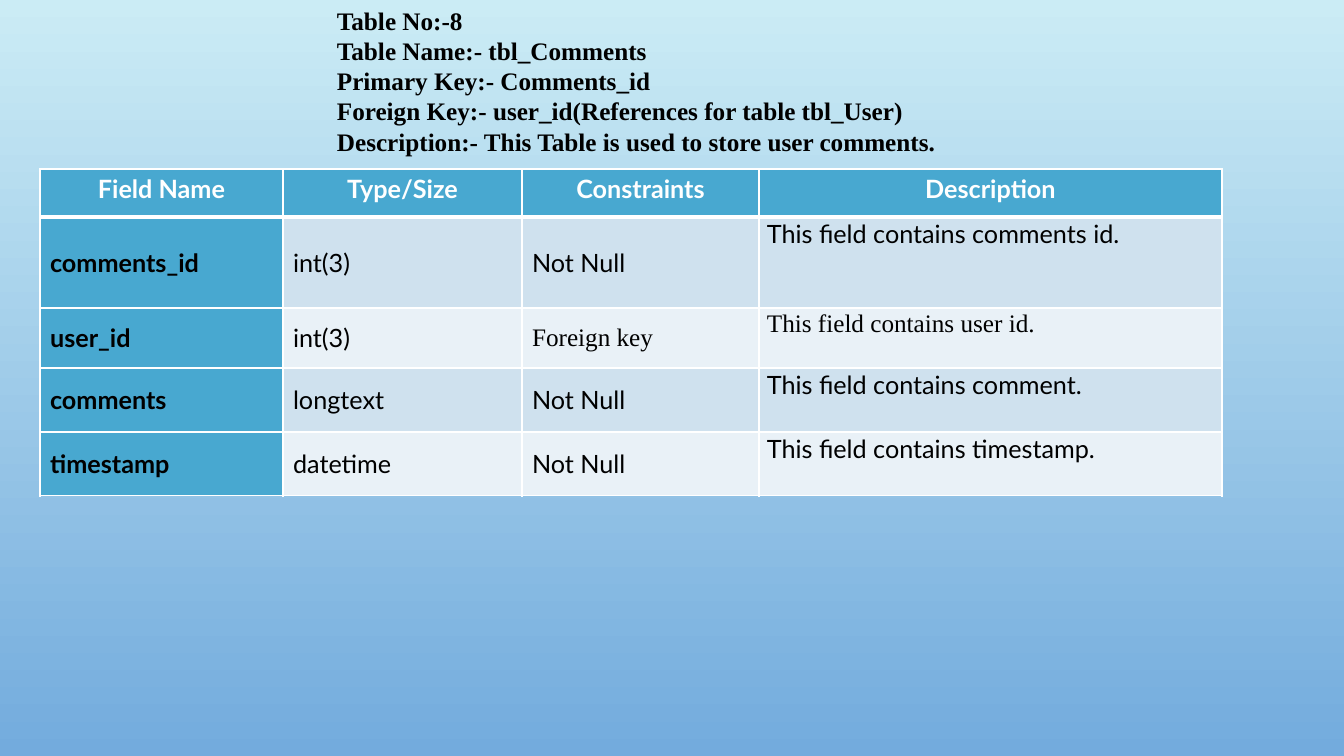
from lxml import etree
from pptx import Presentation
from pptx.dml.color import RGBColor
from pptx.enum.text import MSO_ANCHOR, MSO_AUTO_SIZE, PP_ALIGN
from pptx.oxml.ns import qn
from pptx.util import Pt

EMU_PER_PX = 914400 / 100.8
SKY_TOP = RGBColor(0xCB, 0xEC, 0xF5)
SKY_BOTTOM = RGBColor(0x73, 0xAB, 0xDD)
HEADER_BLUE = RGBColor(0x48, 0xA8, 0xD0)
BANDS = (RGBColor(0xCF, 0xE1, 0xEE), RGBColor(0xE9, 0xF1, 0xF7))
WHITE = RGBColor(0xFF, 0xFF, 0xFF)
BLACK = RGBColor(0, 0, 0)
SANS, SERIF = "Lato", "Times New Roman"
TEXT_SIZE = 18


def px(length):
    return round(length * EMU_PER_PX)


class SlideBuilder:
    def __init__(self, slide):
        self.slide = slide

    def background(self, top, bottom):
        fill = self.slide.background.fill
        fill.gradient()
        fill.gradient_angle = 270
        for stop, color, position in zip(fill.gradient_stops, (top, bottom), (0, 1)):
            stop.color.rgb, stop.position = color, position

    def styled_run(self, paragraph, text, font=SANS, color=BLACK, bold=False):
        run = paragraph.add_run()
        run.text = text
        run.font.name, run.font.size = font, Pt(TEXT_SIZE)
        run.font.bold, run.font.color.rgb = bold, color

    def text_box(self, left, top, width, height, lines):
        box = self.slide.shapes.add_textbox(px(left), px(top), px(width), px(height))
        frame = box.text_frame
        frame.word_wrap = True
        frame.auto_size = MSO_AUTO_SIZE.SHAPE_TO_FIT_TEXT
        for i, line in enumerate(lines):
            paragraph = frame.add_paragraph() if i else frame.paragraphs[0]
            self.styled_run(paragraph, line, SERIF, bold=True)

    def borders(self, cell, **widths):
        """Draw white edges; widths are points for L, R, T and B."""
        properties = cell._tc.get_or_add_tcPr()
        for i, side in enumerate("LRTB"):
            line = etree.Element(qn(f"a:ln{side}"), w=str(Pt(widths.get(side, 1))))
            solid = etree.SubElement(line, qn("a:solidFill"))
            etree.SubElement(solid, qn("a:srgbClr"), val=str(WHITE))
            properties.insert(i, line)

    def cell(self, cell, text, row, column, last_column):
        header = row == 0
        first = column == 0
        paragraph = cell.text_frame.paragraphs[0]
        self.styled_run(paragraph, text, SERIF if (row, text) in SERIF_CELLS else SANS,
                        WHITE if header else BLACK, header or first)
        if header or column == last_column:
            cell.margin_left = cell.margin_right = px(8)
            cell.margin_top = cell.margin_bottom = 0
            paragraph.line_spacing = 1.15 if header else 1.07
            paragraph.space_after = Pt(8)
            paragraph.alignment = PP_ALIGN.CENTER if header else PP_ALIGN.LEFT
        else:
            cell.vertical_anchor = MSO_ANCHOR.MIDDLE
        cell.fill.solid()
        cell.fill.fore_color.rgb = HEADER_BLUE if header or first else BANDS[(row - 1) % 2]
        self.borders(cell, T=3 if row == 1 else 1, B=3 if header else 1)

    def table(self, left, top, widths, heights, rows):
        table = self.slide.shapes.add_table(
            len(rows), len(widths), px(left), px(top), px(sum(widths)), px(sum(heights))).table
        for column, width in zip(table.columns, widths):
            column.width = px(width)
        for r, (height, texts) in enumerate(zip(heights, rows)):
            table.rows[r].height = px(height)
            for c, text in enumerate(texts):
                self.cell(table.cell(r, c), text, r, c, len(widths) - 1)


# Content
SUMMARY = [
    "Table No:-8",
    "Table Name:- tbl_Comments",
    "Primary Key:- Comments_id",
    "Foreign Key:- user_id(References for table tbl_User)",
    "Description:- This Table is used to store user comments.",
]
FIELDS = [
    ("Field Name", "Type/Size", "Constraints", "Description"),
    ("comments_id", "int(3)", "Not Null", "This field contains comments id."),
    ("user_id", "int(3)", "Foreign key", "This field contains user id."),
    ("comments", "longtext", "Not Null", "This field contains comment."),
    ("timestamp", "datetime", "Not Null", "This field contains timestamp."),
]
SERIF_CELLS = {(2, "Foreign key"), (2, "This field contains user id.")}

# Slide
presentation = Presentation()
presentation.slide_width, presentation.slide_height = px(1344), px(756)
builder = SlideBuilder(presentation.slides.add_slide(presentation.slide_layouts[6]))
builder.background(SKY_TOP, SKY_BOTTOM)

# Field table and the summary above it
builder.table(40, 169, (243, 239, 237, 463), (48, 91, 60, 64, 64), FIELDS)
builder.text_box(327, 0, 857, 163, SUMMARY)

presentation.save("out.pptx")
